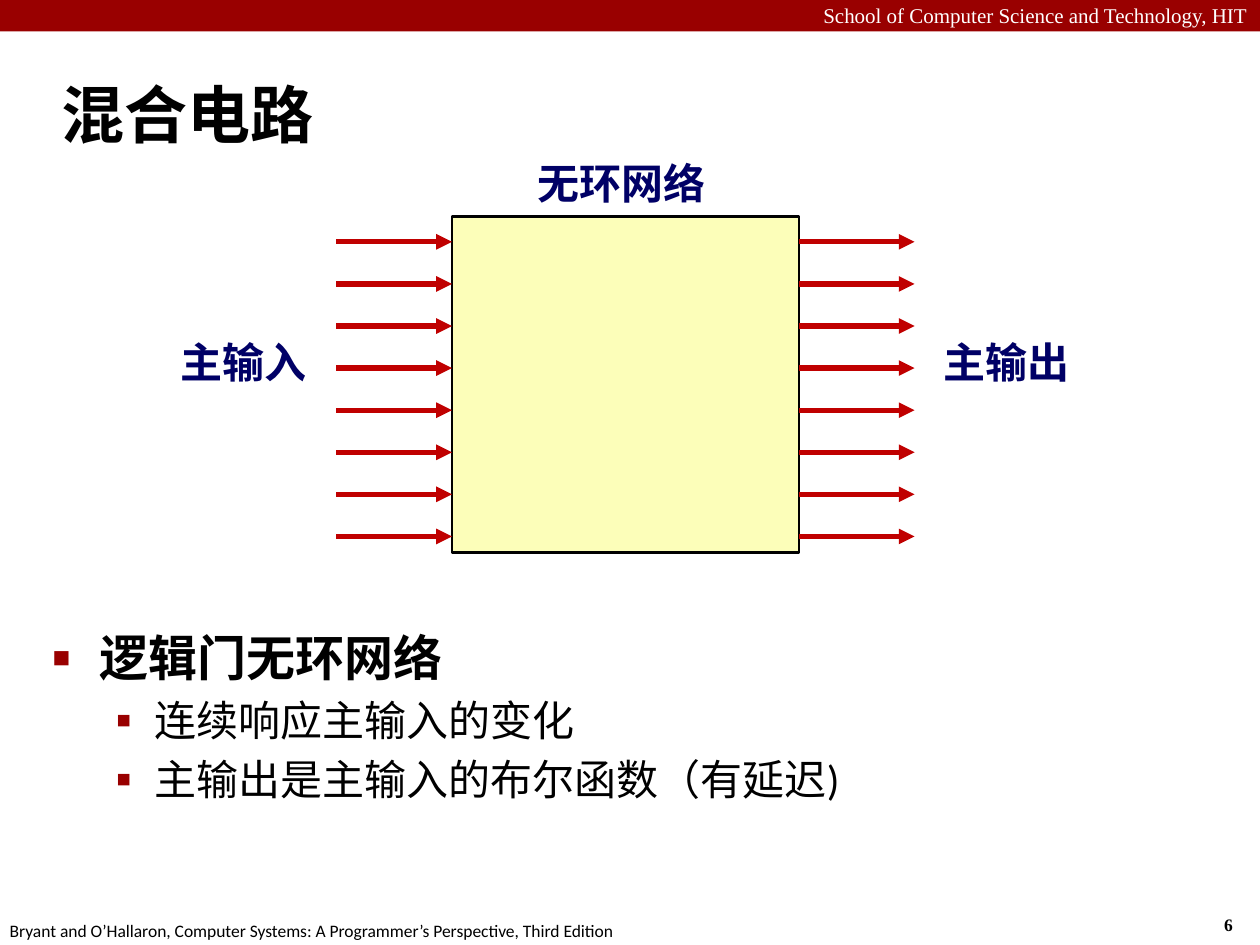
"""Build the slide on mixed circuits, with a box diagram and bullets."""
from pptx import Presentation
from pptx.dml.color import RGBColor
from pptx.enum.shapes import MSO_CONNECTOR, MSO_SHAPE
from pptx.enum.text import MSO_ANCHOR, PP_ALIGN
from pptx.oxml.ns import qn
from pptx.util import Pt
from lxml.etree import SubElement

HUES = {
    "bar": "990000", "white": "FFFFFF", "black": "000000",
    "box": "FCFEB9", "arrow": "C00000", "label": "000066",
}


def hue(name):
    return RGBColor.from_string(HUES[name])


def add_text(area, text, size, font, color="black", bold=False,
             align=PP_ALIGN.LEFT, wrap=False, inset=None):
    frame = slide.shapes.add_textbox(*map(Pt, area)).text_frame
    frame.word_wrap = wrap
    if inset is not None:
        frame.margin_left = frame.margin_right = Pt(inset)
        frame.margin_top = frame.margin_bottom = Pt(inset)
    frame.text = text
    for para in frame.paragraphs:
        para.alignment = align
        for run in para.runs:
            run.font.size = Pt(size)
            run.font.name = font
            run.font.bold = bold
            run.font.color.rgb = hue(color)
    return frame


deck = Presentation()
deck.slide_width, deck.slide_height = Pt(720), Pt(540)
slide = deck.slides.add_slide(deck.slide_layouts[6])

bar = slide.shapes.add_shape(MSO_SHAPE.RECTANGLE, 0, 0, Pt(720), Pt(18))
bar.shadow.inherit = False
bar.fill.solid()
bar.fill.fore_color.rgb = hue("bar")
bar.line.fill.background()

add_text((0, -2, 720, 21.6), "School of Computer Science and Technology, HIT",
         12, "Times New Roman", "white", align=PP_ALIGN.RIGHT, wrap=True)
add_text((692.4, 519, 26.6, 19.4), "6", 10, "Times New Roman", bold=True)
add_text((-1.5, 522, 366, 19.4),
         "Bryant and O’Hallaron, Computer Systems: "
         "A Programmer’s Perspective, Third Edition", 10, "Calibri")
title = add_text((28, 34.5, 692, 60), "混合电路", 36, "Calibri",
                 bold=True, wrap=True)
title.vertical_anchor = MSO_ANCHOR.MIDDLE

items = [
    ("逻辑门无环网络", 0, 28, True),
    ("连续响应主输入的变化", 1, 24, False),
    ("主输出是主输入的布尔函数（有延迟)", 1, 24, False),
]
marks = [("■", 60, 27, -27), ("▪", 110, 58.5, -22.5)]
body = add_text((23, 355, 632, 152.6), "\n".join(item[0] for item in items),
                24, "Calibri", wrap=True)
for para, (text, level, size, bold) in zip(body.paragraphs, items):
    mark, scale, left, indent = marks[level]
    para.level = level
    if level:
        para.space_before = Pt(4.8)
    props = para._p.get_or_add_pPr()
    props.set("marL", str(Pt(left)))
    props.set("indent", str(Pt(indent)))
    tint = SubElement(props, qn("a:buClr"))
    SubElement(tint, qn("a:srgbClr"), val=HUES["bar"])
    SubElement(props, qn("a:buSzPct"), val=str(scale * 1000))
    SubElement(props, qn("a:buFont"), typeface="Arial")
    SubElement(props, qn("a:buChar"), char=mark)
    for run in para.runs:
        run.font.size = Pt(size)
        run.font.bold = bold

box = slide.shapes.add_shape(MSO_SHAPE.RECTANGLE, Pt(258.3), Pt(123.8),
                             Pt(198.3), Pt(192))
box.shadow.inherit = False
box.fill.solid()
box.fill.fore_color.rgb = hue("box")
box.line.color.rgb = hue("black")
box.line.width = Pt(1.5)

for left in (192.3, 456.6):
    for row in range(8):
        y = Pt(138.2 + 24.05 * row)
        arrow = slide.shapes.add_connector(MSO_CONNECTOR.STRAIGHT, Pt(left), y,
                                           Pt(left + 66), y)
        arrow.line.color.rgb = hue("arrow")
        arrow.line.width = Pt(3)
        SubElement(arrow.line._get_or_add_ln(), qn("a:tailEnd"),
                   type="triangle", w="med", len="med")
        SubElement(arrow._element.spPr, qn("a:effectLst"))

labels = [
    ("无环网络", 303, 90, 104.4),
    ("主输入", 99.2, 192.3, 80),
    ("主输出", 535, 192.3, 80),
]
for text, left, top, width in labels:
    frame = add_text((left, top, width, 33), text, 24, "Arial Narrow", "label",
                     bold=True, align=PP_ALIGN.CENTER, inset=3.6)
    frame.paragraphs[0].line_spacing = 0.9

deck.save("out.pptx")
